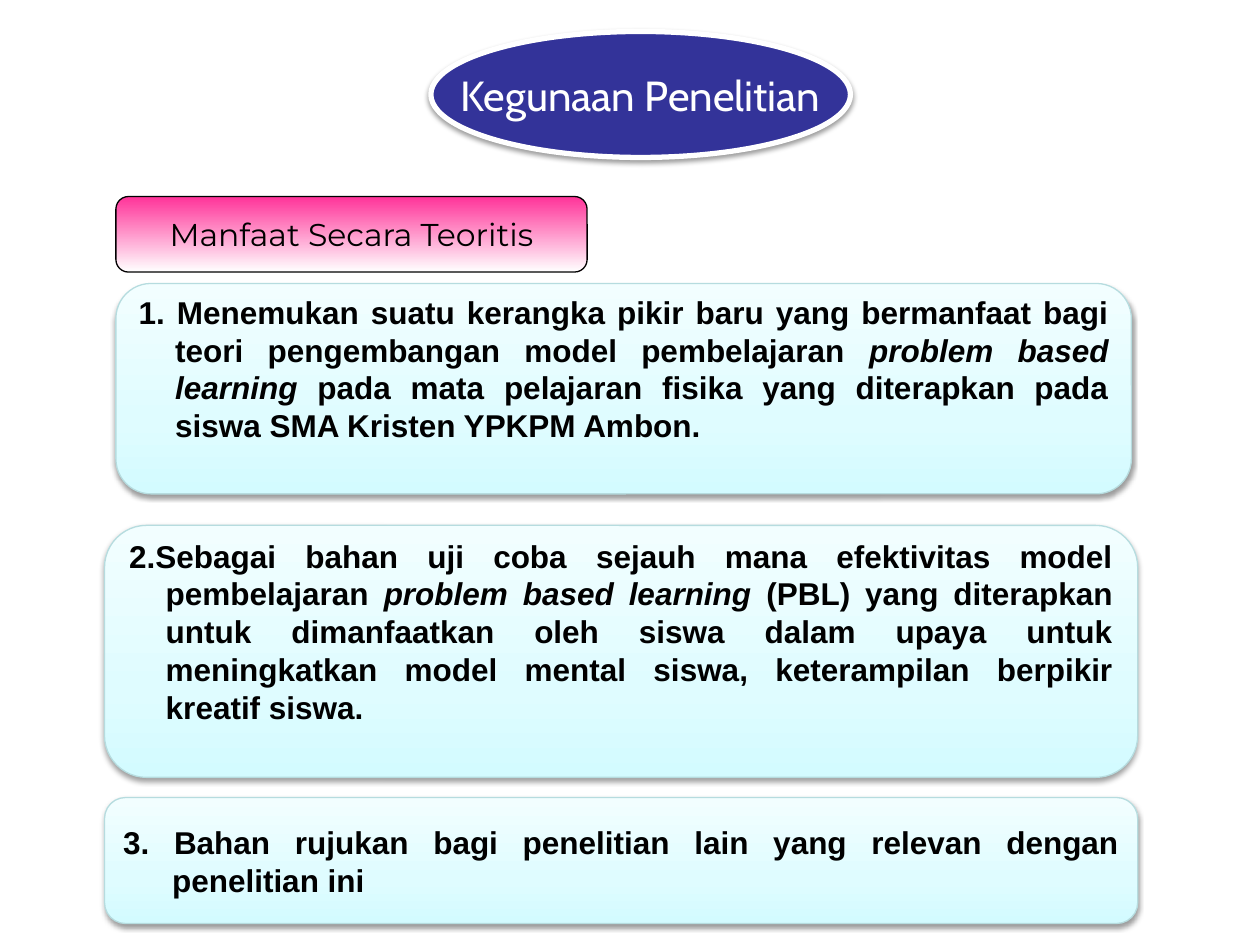
from dataclasses import dataclass

from lxml import etree
from pptx import Presentation
from pptx.dml.color import RGBColor
from pptx.enum.shapes import MSO_SHAPE
from pptx.enum.text import MSO_ANCHOR, PP_ALIGN
from pptx.oxml.ns import qn
from pptx.util import Inches, Pt

OVAL, ROUNDED = MSO_SHAPE.OVAL, MSO_SHAPE.ROUNDED_RECTANGLE
MIDDLE = MSO_ANCHOR.MIDDLE
CENTER, JUSTIFY = PP_ALIGN.CENTER, PP_ALIGN.JUSTIFY
UPWARD, DOWNWARD = 90, 270  # counter-clockwise gradient angles


@dataclass(frozen=True)
class Theme:
    navy: str = "333399"
    white: str = "FFFFFF"
    black: str = "000000"
    card_edge: str = "B6DCDF"
    card_stops: tuple = ((0, "D3FBFF"), (35, "DFFCFF"), (100, "F2FEFF"))
    label_stops: tuple = ((0, "FF3399"), (100, "FFFFFF"))
    title_font: str = "Cabin"
    label_font: str = "Montserrat"
    body_font: str = "Arial"
    title_size: int = 24
    body_size: int = 18


THEME = Theme()

# Each benefit: box, hanging indent, space kept free below the text, runs (text, italic)
BENEFITS = (
    ((0.92, 2.25, 8.06, 1.67), 0.29, 0.32, (
        ("1. Menemukan suatu kerangka pikir baru yang bermanfaat bagi teori "
         "pengembangan model pembelajaran ", False),
        ("problem based learning ", True),
        ("pada mata pelajaran fisika yang diterapkan pada siswa "
         "SMA Kristen YPKPM Ambon.", False))),
    ((0.83, 4.17, 8.2, 2), 0.29, 0.32, (
        ("2.Sebagai bahan uji coba sejauh mana efektivitas model pembelajaran ", False),
        ("problem based learning", True),
        (" (PBL) yang diterapkan untuk dimanfaatkan oleh siswa dalam upaya untuk "
         "meningkatkan model mental siswa, keterampilan berpikir kreatif siswa.", False))),
    ((0.83, 6.33, 8.2, 1), 0.39, 0, (
        ("3. Bahan rujukan bagi penelitian lain yang relevan dengan penelitian ini",
         False),)),
)


def add_panel(slide, preset, box, edge, edge_width):
    panel = slide.shapes.add_shape(preset, *map(Inches, box))
    panel.shadow.inherit = False
    panel.line.color.rgb = RGBColor.from_string(edge)
    panel.line.width = Pt(edge_width)
    panel.text_frame.vertical_anchor = MIDDLE
    return panel


def fill_gradient(panel, stops, angle):
    panel.fill.gradient()
    panel.fill.gradient_angle = angle
    stop_list = panel._element.spPr.find(".//" + qn("a:gsLst"))
    for old_stop in list(stop_list):
        stop_list.remove(old_stop)
    for percent, color in stops:
        stop = etree.SubElement(stop_list, qn("a:gs"), pos=str(percent * 1000))
        etree.SubElement(stop, qn("a:srgbClr"), val=color)


def add_shadow(panel):
    effects = panel._element.spPr.find(qn("a:effectLst"))
    shadow = etree.SubElement(effects, qn("a:outerShdw"), blurRad=str(Pt(3.1)),
                              dist=str(Pt(1.6)), dir="5400000", rotWithShape="0")
    color = etree.SubElement(shadow, qn("a:srgbClr"), val=THEME.black)
    etree.SubElement(color, qn("a:alpha"), val="38000")


def write_text(panel, runs, font_name, size, color, align, wrap, bold=False):
    panel.text_frame.word_wrap = wrap
    paragraph = panel.text_frame.paragraphs[0]
    paragraph.alignment = align
    font = paragraph.font
    font.name, font.size, font.bold = font_name, Pt(size), bold
    font.color.rgb = RGBColor.from_string(color)
    for text, italic in runs:
        run = paragraph.add_run()
        run.text = text
        if italic:
            run.font.italic = True
    return paragraph


def add_title(slide, text):
    title = add_panel(slide, OVAL, (3.42, 0.25, 3.33, 1), THEME.white, 3)
    title.fill.solid()
    title.fill.fore_color.rgb = RGBColor.from_string(THEME.navy)
    add_shadow(title)
    write_text(title, [(text, False)], THEME.title_font, THEME.title_size,
               THEME.white, CENTER, wrap=False)


def add_section_label(slide, text):
    label = add_panel(slide, ROUNDED, (0.92, 1.56, 3.74, 0.6), THEME.black, 0.75)
    fill_gradient(label, THEME.label_stops, DOWNWARD)
    write_text(label, [(text, False)], THEME.label_font, THEME.body_size,
               THEME.black, CENTER, wrap=False)


def add_benefit(slide, box, hanging, space_below, runs):
    card = add_panel(slide, ROUNDED, box, THEME.card_edge, 0.75)
    fill_gradient(card, THEME.card_stops, UPWARD)
    add_shadow(card)
    card.text_frame.margin_bottom = Inches(0.05 + space_below)
    paragraph = write_text(card, runs, THEME.body_font, THEME.body_size,
                           THEME.black, JUSTIFY, wrap=True, bold=True)
    properties = paragraph._p.get_or_add_pPr()
    properties.set("marL", str(Inches(hanging)))
    properties.set("indent", str(-Inches(hanging)))


def main():
    deck = Presentation()
    deck.slide_width, deck.slide_height = Inches(10), Inches(7.5)
    slide = deck.slides.add_slide(deck.slide_layouts[6])

    # Heading
    add_title(slide, "Kegunaan Penelitian")

    # Theoretical benefits
    for benefit in BENEFITS:
        add_benefit(slide, *benefit)
    add_section_label(slide, "Manfaat Secara Teoritis")

    deck.save("out.pptx")


if __name__ == "__main__":
    main()
